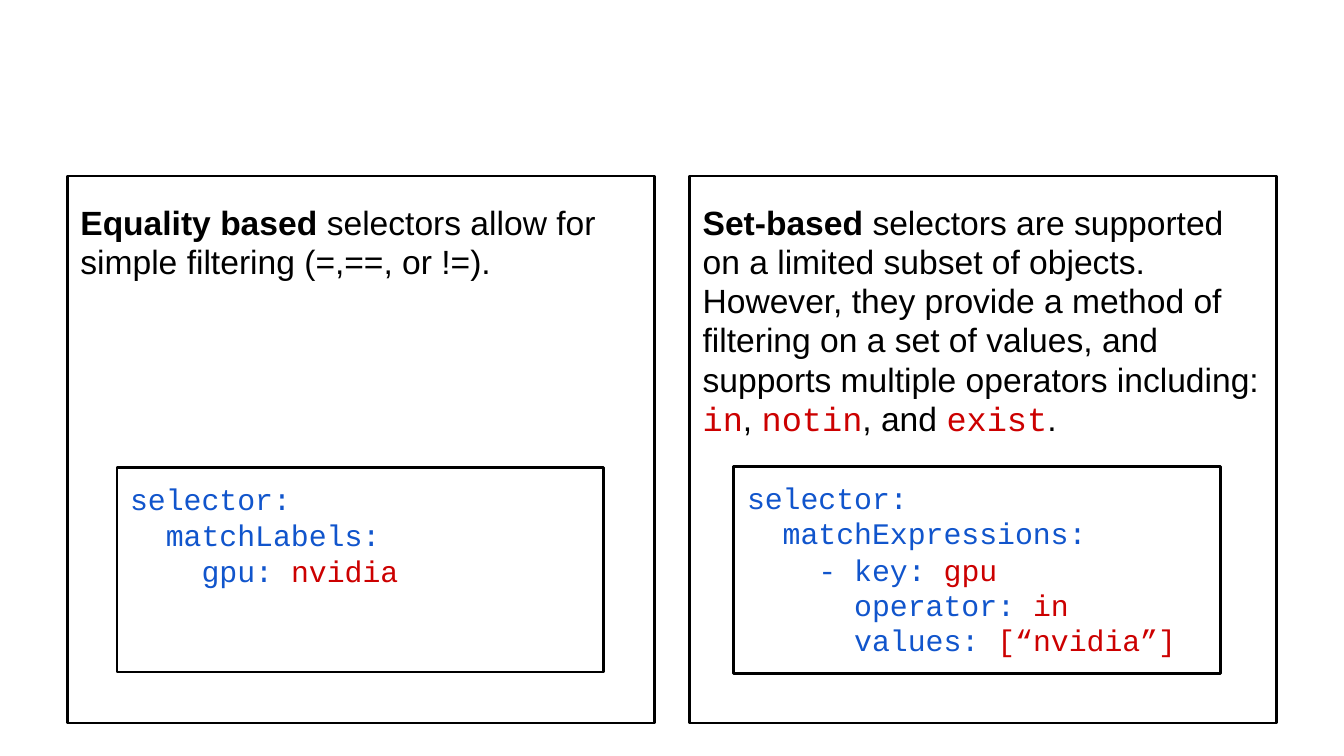
from pptx import Presentation
from pptx.dml.color import RGBColor
from pptx.enum.shapes import MSO_SHAPE
from pptx.enum.text import MSO_ANCHOR, PP_ALIGN
from pptx.util import Inches, Pt

RECT = MSO_SHAPE.RECTANGLE
TOP = MSO_ANCHOR.TOP
LEFT = PP_ALIGN.LEFT
SANS, MONO = "Arial", "Courier New"
BLACK, BLUE, RED = "000000", "1155CC", "CC0000"
WIDE = 10
HIGH = WIDE * 9 / 16


def color(code):
    return RGBColor.from_string(code)


def add_run(para, text, font=SANS, size=18, fill=BLACK, bold=False):
    run = para.add_run()
    run.text = text
    run.font.name = font
    run.font.size = Pt(size)
    run.font.bold = bold
    run.font.color.rgb = color(fill)


def add_para(frame, first, pitch, before=0):
    para = frame.paragraphs[0] if first else frame.add_paragraph()
    para.alignment = LEFT
    para.line_spacing = Pt(pitch)
    para.space_before = Pt(before)
    return para


def add_box(slide, box, inset):
    """Draw an outlined rectangle and return its text frame."""
    shape = slide.shapes.add_shape(RECT, *(Inches(v) for v in box))
    shape.shadow.inherit = False
    shape.fill.background()
    shape.line.color.rgb = color(BLACK)
    shape.line.width = Pt(1.5)
    frame = shape.text_frame
    frame.word_wrap = True
    frame.vertical_anchor = TOP
    frame.margin_left = frame.margin_right = Inches(0.1)
    frame.margin_top = Inches(inset)
    frame.margin_bottom = 0
    return frame


def add_code(slide, box, lines):
    """Each line is a (key, value) pair; keys keep their indent."""
    frame = add_box(slide, box, 0.1)
    for i, (key, value) in enumerate(lines):
        para = add_para(frame, i == 0, 19, before=0.5 if i == 2 else 0)
        add_run(para, key, font=MONO, size=16, fill=BLUE)
        if value:
            add_run(para, value, font=MONO, size=16, fill=RED)


def add_panel(slide, box, paras, inner, lines):
    """Draw a panel of prose with a code box, inner, placed relative to it."""
    left, top = box[:2]
    frame = add_box(slide, box, 0.2)
    for i, runs in enumerate(paras):
        para = add_para(frame, i == 0, 21)
        for text, style in runs:
            add_run(para, text, **style)
    dx, dy, width, height = inner
    add_code(slide, (left + dx, top + dy, width, height), lines)


def main():
    deck = Presentation()
    deck.slide_width, deck.slide_height = Inches(WIDE), Inches(HIGH)
    slide = deck.slides.add_slide(deck.slide_layouts[6])

    plain, strong = {}, {"bold": True}
    term = {"font": MONO, "fill": RED}
    equal = [[("Equality based", strong),
              (" selectors allow for simple filtering (=,==, or !=).", plain)]]
    sets = [
        [("Set-based", strong),
         (" selectors are supported on a limited subset of objects.", plain)],
        [("However, they provide a method of filtering on a set of values, "
          "and supports multiple operators including: ", plain),
         ("in", term), (", ", plain), ("notin", term),
         (", and ", plain), ("exist", term), (".", plain)],
    ]
    labels = [("selector:", ""), ("  matchLabels:", ""),
              ("    gpu: ", "nvidia")]
    rules = [("selector:", ""), ("  matchExpressions:", ""),
             ("    - key: ", "gpu"), ("      operator: ", "in"),
             ("      values: ", "[“nvidia”]")]

    margin, top, width, height = 0.5, 1.31, 4.37, 4.07
    right = WIDE - margin - width
    add_panel(slide, (margin, top, width, height), equal,
              (0.37, 2.17, 3.62, 1.52), labels)
    add_panel(slide, (right, top, width, height), sets,
              (0.33, 2.16, 3.62, 1.54), rules)
    deck.save("out.pptx")


if __name__ == "__main__":
    main()
